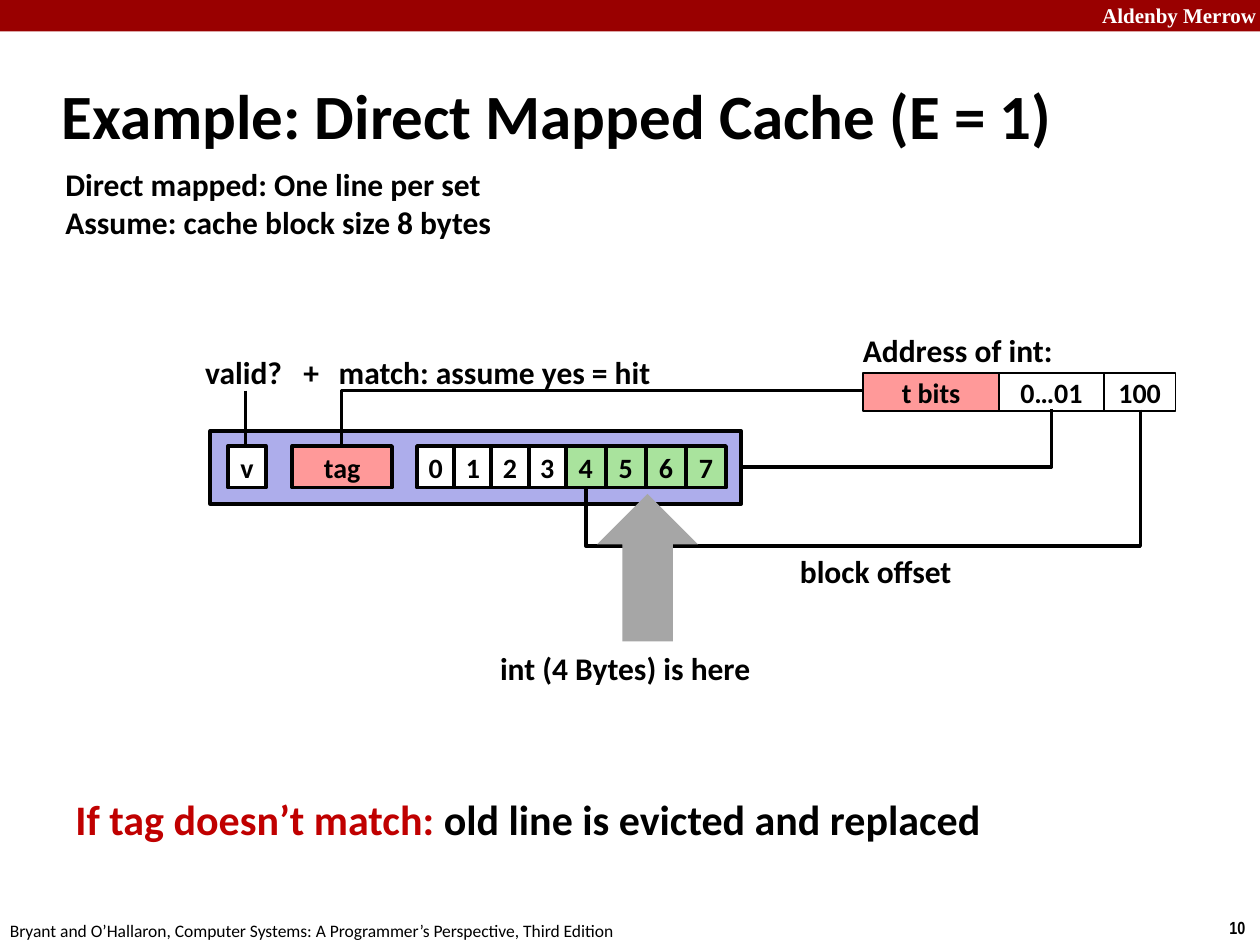
from dataclasses import dataclass
from itertools import accumulate
from typing import NamedTuple

from lxml import etree
from pptx import Presentation
from pptx import util as u
from pptx.dml.color import RGBColor
from pptx.enum import shapes, text
from pptx.oxml.ns import qn

SLIDE_WIDTH, SLIDE_HEIGHT = u.Inches(10), u.Inches(7.5)
COLUMNS, ROWS = 100, 75


@dataclass(frozen=True)
class Theme:
    font: str = "Calibri"
    header_font: str = "Times New Roman"
    number_font: str = "Arial Narrow"
    black: str = "000000"
    white: str = "FFFFFF"
    banner: str = "990000"
    warning: str = "C00000"
    tag: str = "FF9999"
    cache_line: str = "ADADEB"
    wanted: str = "A9E39D"
    arrow: str = "A6A6A6"
    title: float = 36
    message: float = 24
    label: float = 18
    cell: float = 16
    header: float = 12
    footer: float = 10
    thin: float = 1
    wire: float = 2
    thick: float = 2.25


THEME = Theme()


class Area(NamedTuple):
    column: float
    row: float
    columns: float
    rows: float


class Span(NamedTuple):
    words: str
    color: str = THEME.black


@dataclass(frozen=True)
class Label:
    area: Area
    lines: list[list[Span]]
    size: float = THEME.label
    font: str = THEME.font
    bold: bool = True
    align: text.PP_ALIGN = text.PP_ALIGN.LEFT
    anchor: text.MSO_ANCHOR = text.MSO_ANCHOR.TOP


@dataclass(frozen=True)
class Block:
    area: Area
    fill: str
    words: str = ""
    line: float = 0
    kind: shapes.MSO_SHAPE = shapes.MSO_SHAPE.RECTANGLE


@dataclass(frozen=True)
class Wire:
    area: Area
    preset: str = "line"
    turn: int = 0
    rising: bool = False
    bend: float | None = None


def across(columns: float) -> int:
    return round(SLIDE_WIDTH * columns / COLUMNS)


def down(rows: float) -> int:
    return round(SLIDE_HEIGHT * rows / ROWS)


def place(area: Area) -> tuple[int, int, int, int]:
    return across(area.column), down(area.row), across(area.columns), down(area.rows)


def style_font(span, size: float, color: str, font: str, bold: bool) -> None:
    span.font.size = u.Pt(size)
    span.font.name = font
    span.font.bold = bold
    span.font.color.rgb = RGBColor.from_string(color)


def draw_label(page, label: Label) -> None:
    frame = page.shapes.add_textbox(*place(label.area)).text_frame
    frame.word_wrap = False
    frame.vertical_anchor = label.anchor
    frame.text = "\n".join("".join(s.words for s in line) for line in label.lines)
    for para, line in zip(frame.paragraphs, label.lines):
        para.alignment = label.align
        para.runs[0].text = line[0].words
        for part in line[1:]:
            para.add_run().text = part.words
        for run, part in zip(para.runs, line):
            style_font(run, label.size, part.color, label.font, label.bold)


def draw_block(page, block: Block) -> None:
    box = page.shapes.add_shape(block.kind, *place(block.area))
    box.shadow.inherit = False
    box.fill.solid()
    box.fill.fore_color.rgb = RGBColor.from_string(block.fill)
    if block.line:
        box.line.width = u.Pt(block.line)
        box.line.color.rgb = RGBColor.from_string(THEME.black)
    else:
        box.line.fill.background()
    if block.words:
        frame = box.text_frame
        frame.word_wrap = False
        frame.vertical_anchor = text.MSO_ANCHOR.MIDDLE
        frame.text = block.words
        para = frame.paragraphs[0]
        para.alignment = text.PP_ALIGN.CENTER
        style_font(para.runs[0], THEME.cell, THEME.black, THEME.font, True)


def draw_wire(page, wire: Wire) -> None:
    left, top, width, height = place(wire.area)
    start, end = (top + height, top) if wire.rising else (top, top + height)
    connector = page.shapes.add_connector(
        shapes.MSO_CONNECTOR.STRAIGHT, left, start, left + width, end)
    connector.line.width = u.Pt(THEME.wire)
    connector.line.color.rgb = RGBColor.from_string(THEME.black)
    properties = connector._element.spPr
    etree.SubElement(properties, qn("a:effectLst"))
    properties.find(qn("a:xfrm")).set("rot", str(wire.turn * 60000))
    geometry = properties.find(qn("a:prstGeom"))
    geometry.set("prst", wire.preset)
    if wire.bend is not None:
        guide = etree.SubElement(geometry.find(qn("a:avLst")), qn("a:gd"))
        guide.set("name", "adj1")
        guide.set("fmla", f"val {round(wire.bend * 100000)}")


def row_of_blocks(column: float, row: float, rows: float, line: float,
                  cells: list[tuple[str, float, str]]) -> list[Block]:
    starts = accumulate((width for _, width, _ in cells), initial=column)
    return [Block(Area(start, row, width, rows), fill, words, line)
            for start, (words, width, fill) in zip(starts, cells)]


ADDRESS = row_of_blocks(68.5, 29.6, 3, THEME.thin, [
    ("t bits", 10.8, THEME.tag), ("0…01", 8.3, THEME.white), ("100", 5.7, THEME.white)])
BYTES = row_of_blocks(33.1, 35.4, 3.3, THEME.thick, [
    (str(n), 2.95, THEME.white) if n < 4 else (str(n), 3.18, THEME.wanted)
    for n in range(8)])
BLOCKS = [
    Block(Area(0, 0, COLUMNS, 2.5), THEME.banner),
    *ADDRESS,
    Block(Area(16.7, 34.2, 42.1, 5.8), THEME.cache_line, line=THEME.thick),
    Block(Area(18.1, 35.4, 3, 3.3), THEME.white, "v", THEME.thick),
    Block(Area(23.2, 35.4, 7.9, 3.3), THEME.tag, "tag", THEME.thick),
    *BYTES,
]
WIRES = [
    Wire(Area(68.8, 22.4, 4.6, 24.7), "bentConnector2", turn=90),
    Wire(Area(27.1, 31, 41.4, 4.4), "bentConnector2", turn=180, rising=True),
    Wire(Area(19.5, 31, 0, 4.4)),
    Wire(Area(65.4, 13.6, 6.2, 44), "bentConnector3", turn=90, bend=1.75),
]
POINTER = Block(Area(47.4, 39.2, 8, 11.7), THEME.arrow, kind=shapes.MSO_SHAPE.UP_ARROW)
LABELS = [
    Label(Area(86.4, -0.3, 14.3, 3), [[Span("Aldenby Merrow", THEME.white)]],
          THEME.header, THEME.header_font, align=text.PP_ALIGN.RIGHT),
    Label(Area(96.6, 72.3, 3.4, 2.7), [[Span("10")]], THEME.footer, THEME.number_font),
    Label(Area(-0.2, 72.5, 50.8, 2.7), [[Span(
        "Bryant and O’Hallaron, Computer Systems: A Programmer’s Perspective, "
        "Third Edition")]], THEME.footer, bold=False),
    Label(Area(3.9, 4.9, 83, 8.3), [[Span("Example: Direct Mapped Cache (E = 1)")]],
          THEME.title, anchor=text.MSO_ANCHOR.MIDDLE),
    Label(Area(4.2, 12.6, 36.1, 7.1), [[Span("Direct mapped: One line per set")],
                                       [Span("Assume: cache block size 8 bytes")]]),
    Label(Area(67.5, 25.8, 17.2, 4), [[Span("Address of int:")]]),
    Label(Area(25.9, 27.5, 27, 4), [[Span("match: assume yes = hit")]]),
    Label(Area(15.3, 27.5, 11.2, 4), [[Span("valid?   +")]]),
    Label(Area(38.7, 51, 22.1, 4), [[Span("int (4 Bytes) is here")]]),
    Label(Area(62.5, 43.3, 14.2, 4), [[Span("block offset")]]),
    Label(Area(5, 62.5, 74.6, 5), [[Span("If tag doesn’t match: ", THEME.warning),
                                    Span("old line is evicted and replaced")]],
          THEME.message),
]


def main() -> None:
    deck = Presentation()
    deck.slide_width, deck.slide_height = SLIDE_WIDTH, SLIDE_HEIGHT
    page = deck.slides.add_slide(deck.slide_layouts[6])
    for block in BLOCKS:
        draw_block(page, block)
    for wire in WIRES:
        draw_wire(page, wire)
    draw_block(page, POINTER)
    for label in LABELS:
        draw_label(page, label)
    deck.save("out.pptx")


if __name__ == "__main__":
    main()
